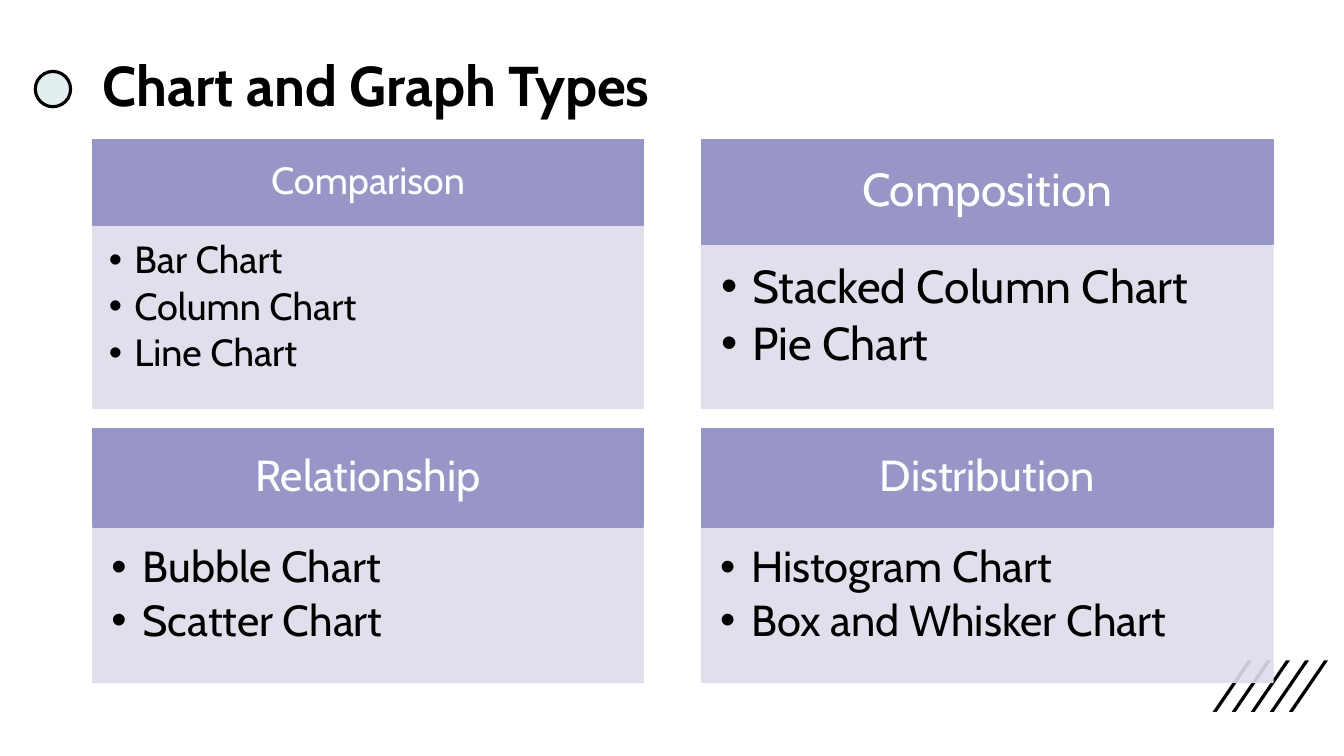
from dataclasses import dataclass

from lxml.etree import SubElement
from pptx import Presentation
from pptx.dml.color import RGBColor
from pptx.enum.shapes import MSO_SHAPE
from pptx.enum.text import MSO_ANCHOR, MSO_AUTO_SIZE, PP_ALIGN
from pptx.oxml.ns import qn
from pptx.util import Cm, Pt


@dataclass(frozen=True)
class Theme:
    font: str = "Cabin"
    ink: str = "000000"
    paper: str = "FFFFFF"
    head: str = "9796C6"
    panel: str = "DDDCE9"
    dot: str = "E3EEF0"
    title: int = 40
    small: int = 27
    mid: int = 31
    large: int = 33


THEME = Theme()
COLS = [(2.34, 13.87), (17.68, 14.4)]  # left, width
ROWS = [(3.51, 6.78), (10.8, 6.4)]  # top, height
CARDS = [  # column, row, type size, indent, heading, items
    (0, 0, THEME.small, 0.64, "Comparison", ["Bar Chart", "Column Chart", "Line Chart"]),
    (1, 0, THEME.large, 0.79, "Composition", ["Stacked Column Chart", "Pie Chart"]),
    (0, 1, THEME.mid, 0.79, "Relationship", ["Bubble Chart", "Scatter Chart"]),
    (1, 1, THEME.mid, 0.79, "Distribution", ["Histogram Chart", "Box and Whisker Chart"]),
]


def put(obj, vals):
    for key, val in vals.items():
        setattr(obj, key, val)


def place(shape, left, top, width, height):
    put(shape, {"left": Cm(left), "top": Cm(top), "width": Cm(width), "height": Cm(height)})


def paint(fill, color, alpha=100):
    fill.solid()
    fill.fore_color.rgb = RGBColor.from_string(color)
    if alpha < 100:
        for tone in fill._xPr.iter(qn("a:srgbClr")):
            SubElement(tone, qn("a:alpha"), val=str(alpha * 1000))


def edge(shape, color, width, alpha=100):
    shape.line.width = Pt(width)
    paint(shape.line.fill, color, alpha)


def frame(shape, anchor, pads):
    """Set the anchor and the left, top, right and bottom insets in cm."""
    sides = ("margin_left", "margin_top", "margin_right", "margin_bottom")
    put(shape.text_frame, {
        "word_wrap": True, "auto_size": MSO_AUTO_SIZE.NONE, "vertical_anchor": anchor,
        **{side: Cm(pad) for side, pad in zip(sides, pads)},
    })


def style(para, size, color, align=PP_ALIGN.LEFT, bold=False, before=0):
    put(para, {"alignment": align, "line_spacing": 0.9, "space_before": Pt(before)})
    put(para.font, {"name": THEME.font, "size": Pt(size), "bold": bold})
    para.font.color.rgb = RGBColor.from_string(color)


def bullet(para, indent):
    props = para._p.get_or_add_pPr()
    put(para, {"level": 1})
    props.set("marL", str(Cm(indent)))
    props.set("indent", str(-Cm(indent)))
    SubElement(SubElement(props, qn("a:buClr")), qn("a:srgbClr"), val=THEME.ink)
    SubElement(props, qn("a:buFont"), typeface="Arial")
    SubElement(props, qn("a:buChar"), char="•")


def add_title(slide, text):
    title = slide.shapes.title
    place(title, 2.34, 0.38, 29.21, 3.68)
    title.text_frame.text = text
    frame(title, MSO_ANCHOR.MIDDLE, (0.25, 0.13, 0.25, 0.13))
    style(title.text_frame.paragraphs[0], THEME.title, THEME.ink, bold=True)


def add_head(slide, box, text, size):
    head = slide.shapes.add_shape(MSO_SHAPE.RECTANGLE, *map(Cm, box))
    head.shadow.inherit = False
    paint(head.fill, THEME.head)
    edge(head, THEME.head, 1)
    pad = 0.02 * size
    frame(head, MSO_ANCHOR.MIDDLE, (pad, pad * 0.57, pad, pad * 0.57))
    head.text_frame.text = text
    style(head.text_frame.paragraphs[0], size, THEME.paper, PP_ALIGN.CENTER)


def add_list(body, box, items, size, indent):
    place(body, *box)
    paint(body.fill, THEME.panel, 90)
    edge(body, THEME.panel, 1, 90)
    pad = 0.02 * size
    frame(body, MSO_ANCHOR.TOP, (pad * 0.75, pad * 0.75, pad, pad * 1.13))
    body.text_frame.text = "\n".join(items)
    for rank, para in enumerate(body.text_frame.paragraphs):
        bullet(para, indent)
        style(para, size, THEME.ink, before=0.15 * size if rank else 0)


def add_card(slide, body, card):
    col, row, size, indent, name, items = card
    (left, width), (top, height) = COLS[col], ROWS[row]
    tall = 0.08 * size
    add_head(slide, (left, top, width, tall), name, size)
    add_list(body, (left, top + tall, width, height - tall), items, size, indent)


def add_slash(slide, left):
    """Draw a slanted bar behind everything else."""
    top, width, height, foot = 16.64, 0.99, 1.3, 0.1
    pen = slide.shapes.build_freeform(Cm(left + foot), Cm(top + height))
    pen.add_line_segments([
        (Cm(left), Cm(top + height)),
        (Cm(left + width - foot), Cm(top)),
        (Cm(left + width), Cm(top)),
    ])
    slash = pen.convert_to_shape()
    slash.shadow.inherit = False
    paint(slash.fill, THEME.ink)
    slash.line.fill.background()
    slide.shapes.element.insert(2, slash.element)


def add_dot(slide):
    dot = slide.shapes.add_shape(MSO_SHAPE.OVAL, Cm(0.89), Cm(1.8), Cm(0.89), Cm(0.89))
    dot.shadow.inherit = False
    paint(dot.fill, THEME.dot)
    edge(dot, THEME.ink, 2.25)


def main():
    deck = Presentation()
    put(deck, {"slide_width": Cm(33.87), "slide_height": Cm(19.05)})
    slide = deck.slides.add_slide(deck.slide_layouts.get_by_name("Comparison"))
    add_title(slide, "Chart and Graph Types")
    add_dot(slide)
    bodies = list(slide.placeholders)[1:]
    for body, card in zip(bodies, CARDS):
        add_card(slide, body, card)
    for step in range(5):
        add_slash(slide, 30.56 + 0.48 * step)
    deck.save("out.pptx")


if __name__ == "__main__":
    main()
